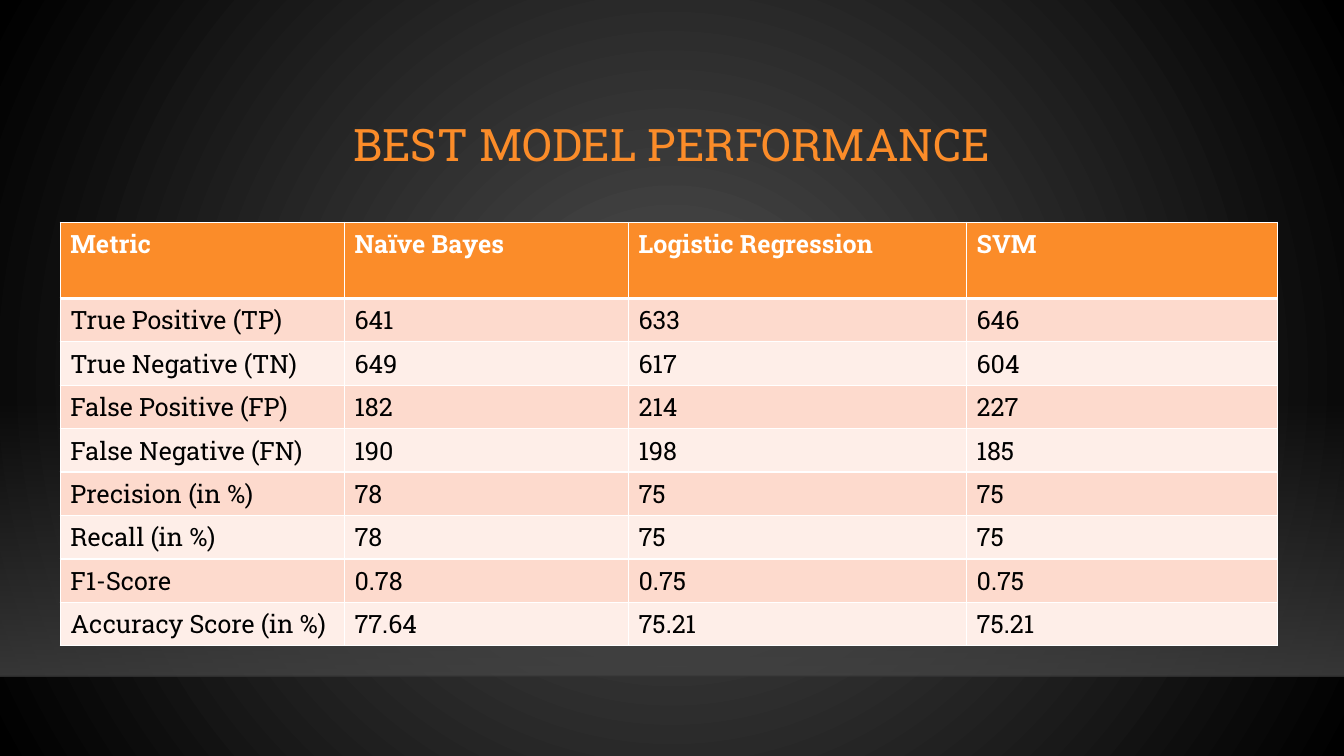
from dataclasses import dataclass

from pptx import Presentation
from pptx.dml.color import RGBColor
from pptx.enum.shapes import MSO_CONNECTOR, MSO_SHAPE
from pptx.enum.text import MSO_ANCHOR, PP_ALIGN
from pptx.oxml import parse_xml
from pptx.oxml.ns import nsdecls, qn
from pptx.util import Cm, Pt

RECTANGLE, STRAIGHT = MSO_SHAPE.RECTANGLE, MSO_CONNECTOR.STRAIGHT
MIDDLE, CENTER = MSO_ANCHOR.MIDDLE, PP_ALIGN.CENTER

# Content
TITLE = "BEST MODEL PERFORMANCE"
ROWS = [
    ("Metric", "Naïve Bayes", "Logistic Regression", "SVM"),
    ("True Positive (TP)", "641", "633", "646"),
    ("True Negative (TN)", "649", "617", "604"),
    ("False Positive (FP)", "182", "214", "227"),
    ("False Negative (FN)", "190", "198", "185"),
    ("Precision (in %)", "78", "75", "75"),
    ("Recall (in %)", "78", "75", "75"),
    ("F1-Score", "0.78", "0.75", "0.75"),
    ("Accuracy Score (in %)", "77.64", "75.21", "75.21"),
]


@dataclass(frozen=True)
class Theme:
    font: str = "Roboto Slab"
    title_size: int = 32
    table_size: int = 18
    accent: str = "FB8C29"
    text: str = "000000"
    white: str = "FFFFFF"
    bands: tuple = ("FDDACD", "FEEEE8")
    glow: str = "505050"
    edge: str = "000000"
    floor: str = "454545"
    floor_line: str = "000001"


THEME = Theme()

# Layout
PAGE_WIDTH, PAGE_HEIGHT = Cm(33.87), Cm(19.05)
FLOOR_TOP, FLOOR_BOTTOM = Cm(10.06), Cm(17.04)
TABLE_LEFT, TABLE_TOP = Cm(1.52), Cm(5.6)
COLUMN_WIDTHS = [Cm(7.16), Cm(7.16), Cm(8.52), Cm(7.84)]
HEADER_HEIGHT, ROW_HEIGHT = Cm(1.92), Cm(1.09)


def set_gradient(properties, stops, direction):
    """Replace a solid fill by a gradient; stops are (position, colour, opacity)."""
    stop_xml = "".join(
        f'<a:gs pos="{position * 1000}"><a:srgbClr val="{color}">'
        f'<a:alpha val="{opacity * 1000}"/></a:srgbClr></a:gs>'
        for position, color, opacity in stops)
    gradient = parse_xml(f'<a:gradFill {nsdecls("a")} rotWithShape="1">'
                         f"<a:gsLst>{stop_xml}</a:gsLst>{direction}</a:gradFill>")
    properties.replace(properties.find(qn("a:solidFill")), gradient)


def set_borders(cell, widths):
    properties = cell._tc.get_or_add_tcPr()
    for index, (side, width) in enumerate(widths.items()):
        properties.insert(index, parse_xml(
            f'<a:ln{side} {nsdecls("a")} w="{Pt(width)}"><a:solidFill>'
            f'<a:srgbClr val="{THEME.white}"/></a:solidFill></a:ln{side}>'))


def style_font(para, size, color, bold=False):
    font = para.font
    font.name, font.size, font.bold = THEME.font, Pt(size), bold
    font.color.rgb = RGBColor.from_string(color)


def add_backdrop(page):
    fill = page.background.fill
    fill.solid()
    fill.fore_color.rgb = RGBColor.from_string(THEME.edge)
    set_gradient(page.element.find(".//" + qn("p:bgPr")),
                 [(0, THEME.glow, 100), (100, THEME.edge, 100)],
                 '<a:path path="circle"><a:fillToRect l="50000" t="50000" '
                 'r="50000" b="50000"/></a:path>')

    floor = page.shapes.add_shape(RECTANGLE, 0, FLOOR_TOP, PAGE_WIDTH,
                                  FLOOR_BOTTOM - FLOOR_TOP)
    floor.shadow.inherit = False
    floor.line.fill.background()
    floor.fill.solid()
    set_gradient(floor.element.spPr,
                 [(0, THEME.floor, 0), (100, THEME.floor, 80)],
                 '<a:lin ang="5400000" scaled="0"/>')

    edge = page.shapes.add_connector(STRAIGHT, 0, FLOOR_BOTTOM,
                                     PAGE_WIDTH, FLOOR_BOTTOM)
    edge.line.width = Pt(1)
    edge.line.color.rgb = RGBColor.from_string(THEME.floor_line)
    properties = edge.element.spPr
    color = properties.find(".//" + qn("a:srgbClr"))
    color.append(parse_xml(f'<a:alpha {nsdecls("a")} val="20000"/>'))
    properties.append(parse_xml(f'<a:effectLst {nsdecls("a")}/>'))


def add_title(page):
    title = page.shapes.title
    title.left, title.top = Cm(4.04), Cm(2.24)
    title.width, title.height = Cm(25.8), Cm(2.92)
    title.text_frame.text = TITLE
    title.text_frame.vertical_anchor = MIDDLE
    para = title.text_frame.paragraphs[0]
    para.alignment, para.line_spacing = CENTER, 0.9
    style_font(para, THEME.title_size, THEME.accent)


def add_results(page):
    heights = [HEADER_HEIGHT] + [ROW_HEIGHT] * (len(ROWS) - 1)
    table = page.shapes.add_table(len(ROWS), len(COLUMN_WIDTHS), TABLE_LEFT,
                                  TABLE_TOP, sum(COLUMN_WIDTHS), sum(heights)).table
    for column, width in zip(table.columns, COLUMN_WIDTHS):
        column.width = width
    for r, (values, height) in enumerate(zip(ROWS, heights)):
        table.rows[r].height = height
        header = r == 0
        fill = THEME.accent if header else THEME.bands[(r - 1) % 2]
        borders = {"L": 1, "R": 1, "T": 3 if r == 1 else 1, "B": 3 if header else 1}
        for c, value in enumerate(values):
            cell = table.cell(r, c)
            cell.text = value
            cell.fill.solid()
            cell.fill.fore_color.rgb = RGBColor.from_string(fill)
            set_borders(cell, borders)
            style_font(cell.text_frame.paragraphs[0], THEME.table_size,
                       THEME.white if header else THEME.text, header)


def main():
    deck = Presentation()
    deck.slide_width, deck.slide_height = PAGE_WIDTH, PAGE_HEIGHT
    page = deck.slides.add_slide(deck.slide_layouts.get_by_name("Title Only"))
    add_backdrop(page)
    add_title(page)
    add_results(page)
    deck.save("out.pptx")


if __name__ == "__main__":
    main()
